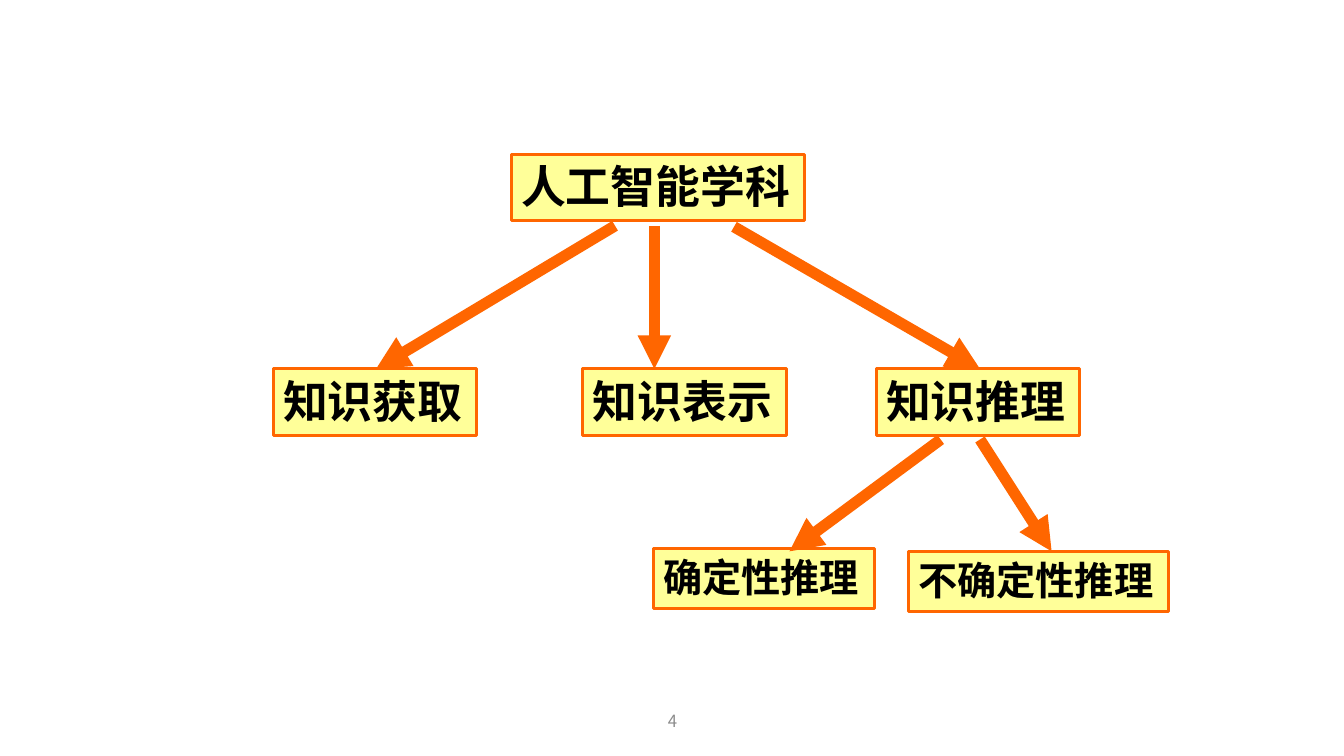
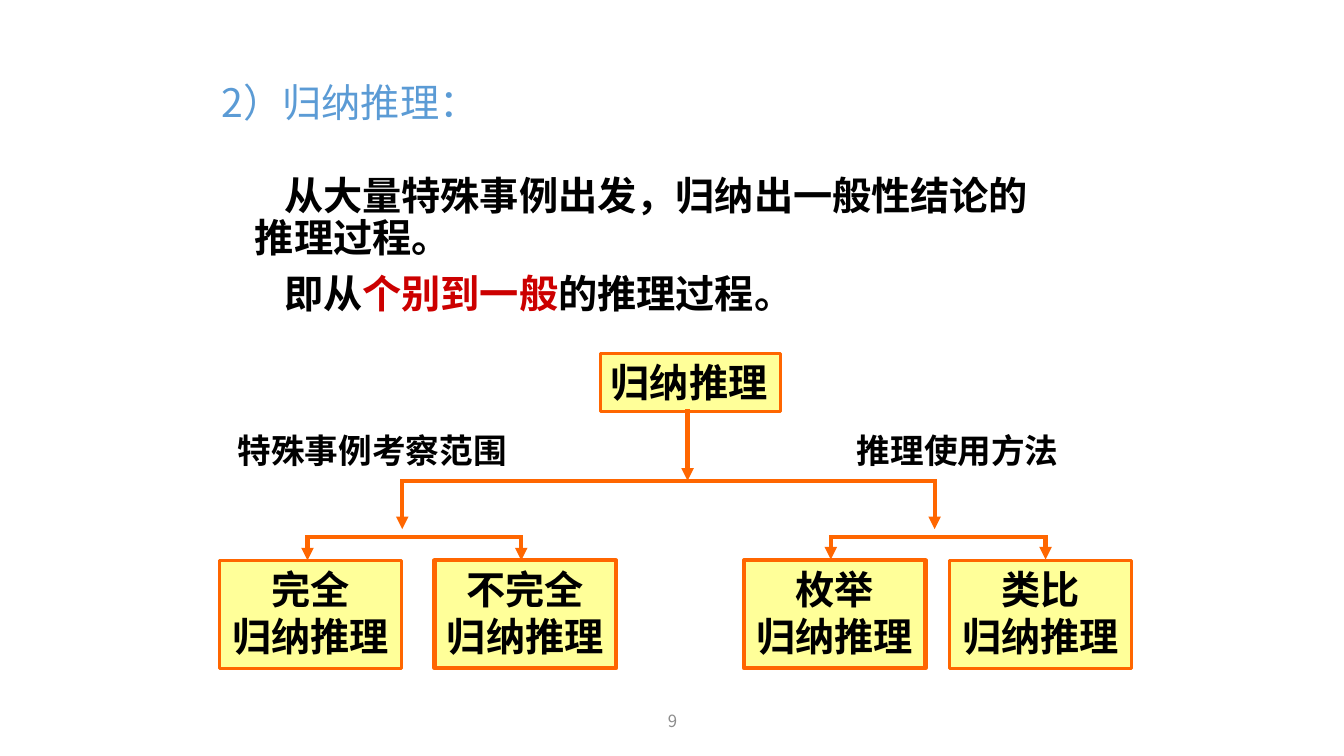
from dataclasses import dataclass
from pptx import Presentation
from pptx.dml.color import RGBColor
from pptx.enum import shapes, text
from pptx.oxml import ns
from pptx.util import Inches, Pt
from lxml import etree


@dataclass(frozen=True)
class Theme:
    fill: str = "FFFF99"
    accent: str = "FF6600"
    ink: str = "000000"
    title: str = "5B9BD5"
    stress: str = "CC0000"
    muted: str = "8C8C8C"
    sans: str = "Noto Sans CJK SC"
    latin: str = "Arial"
    large: int = 32
    medium: int = 28
    label: int = 24
    small: int = 12
    thin: float = 2.25
    line: float = 3
    thick: float = 8


theme = Theme()


def write(box, paragraphs, size=theme.medium, font=theme.sans, color=theme.ink,
          bold=True, align=text.PP_ALIGN.LEFT, anchor=text.MSO_ANCHOR.TOP,
          wrap=False, spacing=None, before=None):
    """Fill a box; each paragraph is a list of spans, and *span* is stressed."""
    frame = box.text_frame
    frame.word_wrap = wrap
    frame.vertical_anchor = anchor
    for index, spans in enumerate(paragraphs):
        para = frame.add_paragraph() if index else frame.paragraphs[0]
        para.alignment = align
        para.line_spacing = spacing
        para.space_before = before
        for words in spans:
            span = para.add_run()
            span.text = words.strip("*")
            span.font.size = Pt(size)
            span.font.name = font
            span.font.bold = bold
            shade = theme.stress if words.startswith("*") else color
            span.font.color.rgb = RGBColor.from_string(shade)
            east_asian = etree.SubElement(span.font._element, ns.qn("a:ea"))
            east_asian.set("typeface", theme.sans)


def link(page, start, end, width=theme.line, arrow=True):
    """Draw a straight line, with an arrowhead at its end if asked."""
    line = page.shapes.add_connector(
        shapes.MSO_CONNECTOR.STRAIGHT, *map(Inches, (*start, *end)))
    line.line.color.rgb = RGBColor.from_string(theme.accent)
    line.line.width = Pt(width)
    if arrow:
        head = etree.SubElement(line.line._get_or_add_ln(), ns.qn("a:tailEnd"))
        head.set("type", "triangle")
    etree.SubElement(line._element.spPr, ns.qn("a:effectLst"))


deck = Presentation()
deck.slide_width, deck.slide_height = Inches(13.33), Inches(7.5)
tree_page = deck.slides.add_slide(deck.slide_layouts[6])
induction_page = deck.slides.add_slide(deck.slide_layouts[5])

# Page numbers
for page, number in ((tree_page, "4"), (induction_page, "9")):
    box = page.shapes.add_textbox(*map(Inches, (4.42, 6.95, 4.5, 0.4)))
    write(box, [[number]], size=theme.small, color=theme.muted, bold=False,
          align=text.PP_ALIGN.CENTER, anchor=text.MSO_ANCHOR.MIDDLE, wrap=True)

# Title
title = induction_page.shapes.title
title.left, title.top, title.width, title.height = map(Inches, (2.1, 0.68, 9, 0.71))
write(title, [["2）归纳推理："]], color=theme.title, bold=False,
      anchor=text.MSO_ANCHOR.MIDDLE, wrap=True, spacing=0.9)

# Definition
definition = induction_page.shapes.add_textbox(*map(Inches, (2.18, 1.7, 8.49, 1.6)))
write(definition,
      [["从大量特殊事例出发，归纳出一般性结论的推理过程。"],
       ["即从", "*个别到一般*", "的推理过程。"]],
      wrap=True, spacing=0.9, before=Pt(10))
for para in definition.text_frame.paragraphs:
    indents = para._p.get_or_add_pPr()
    indents.set("marL", str(Inches(0.25)))
    indents.set("indent", str(Inches(0.29)))

# Boxes of both diagrams: place, border, type size, lines of text
large, medium = theme.large, theme.medium
thin, line = theme.thin, theme.line
tree_boxes = [
    ((5.07, 1.53, 2.91, 0.66), thin, large, ["人工智能学科"]),
    ((2.71, 3.66, 2.02, 0.66), thin, large, ["知识获取"]),
    ((5.78, 3.66, 2.02, 0.66), thin, large, ["知识表示"]),
    ((8.69, 3.66, 2.02, 0.66), thin, large, ["知识推理"]),
    ((6.48, 5.44, 2.19, 0.6), thin, medium, ["确定性推理"]),
    ((9.01, 5.47, 2.58, 0.6), thin, medium, ["不确定性推理"]),
]
induction_boxes = [((5.96, 3.51, 1.78, 0.57), thin, medium, ["归纳推理"])]
for left, border, kind in ((2.18, thin, "完全"), (4.31, line, "不完全"),
                           (7.38, line, "枚举"), (9.42, thin, "类比")):
    induction_boxes.append(
        ((left, 5.56, 1.8, 1.07), border, medium, [kind, "归纳推理"]))

for page, boxes, font in ((tree_page, tree_boxes, theme.latin),
                          (induction_page, induction_boxes, theme.sans)):
    for place, border, size, lines in boxes:
        box = page.shapes.add_shape(
            shapes.MSO_SHAPE.RECTANGLE, *map(Inches, place))
        box.shadow.inherit = False
        box.fill.solid()
        box.fill.fore_color.rgb = RGBColor.from_string(theme.fill)
        box.line.color.rgb = RGBColor.from_string(theme.accent)
        box.line.width = Pt(border)
        align = text.PP_ALIGN.CENTER if len(lines) > 1 else text.PP_ALIGN.LEFT
        write(box, [[words] for words in lines], size=size, font=font, align=align)

# Arrows of the subject tree
for start, end in (((6.1, 2.24), (3.73, 3.66)), ((6.49, 2.24), (6.49, 3.66)),
                   ((7.28, 2.25), (9.72, 3.66)), ((9.33, 4.36), (7.83, 5.47)),
                   ((9.72, 4.36), (10.43, 5.47))):
    link(tree_page, start, end, width=theme.thick)

# Forks of the induction diagram: a bar with an arrow down from each end
link(induction_page, (6.82, 4.06), (6.82, 4.77))
for left, right, bar, tip in ((3.99, 9.27, 4.77, 5.25),
                              (3.05, 5.17, 5.33, 5.56),
                              (8.24, 10.37, 5.33, 5.55)):
    link(induction_page, (left - 0.02, bar), (right + 0.02, bar), arrow=False)
    for x in (left, right):
        link(induction_page, (x, bar), (x, tip))

# Branch labels
for left, width, words in ((2.26, 2.88, "特殊事例考察范围"), (8.4, 2.21, "推理使用方法")):
    box = induction_page.shapes.add_textbox(*map(Inches, (left, 4.22, width, 0.5)))
    write(box, [[words]], size=theme.label)

deck.save("out.pptx")
